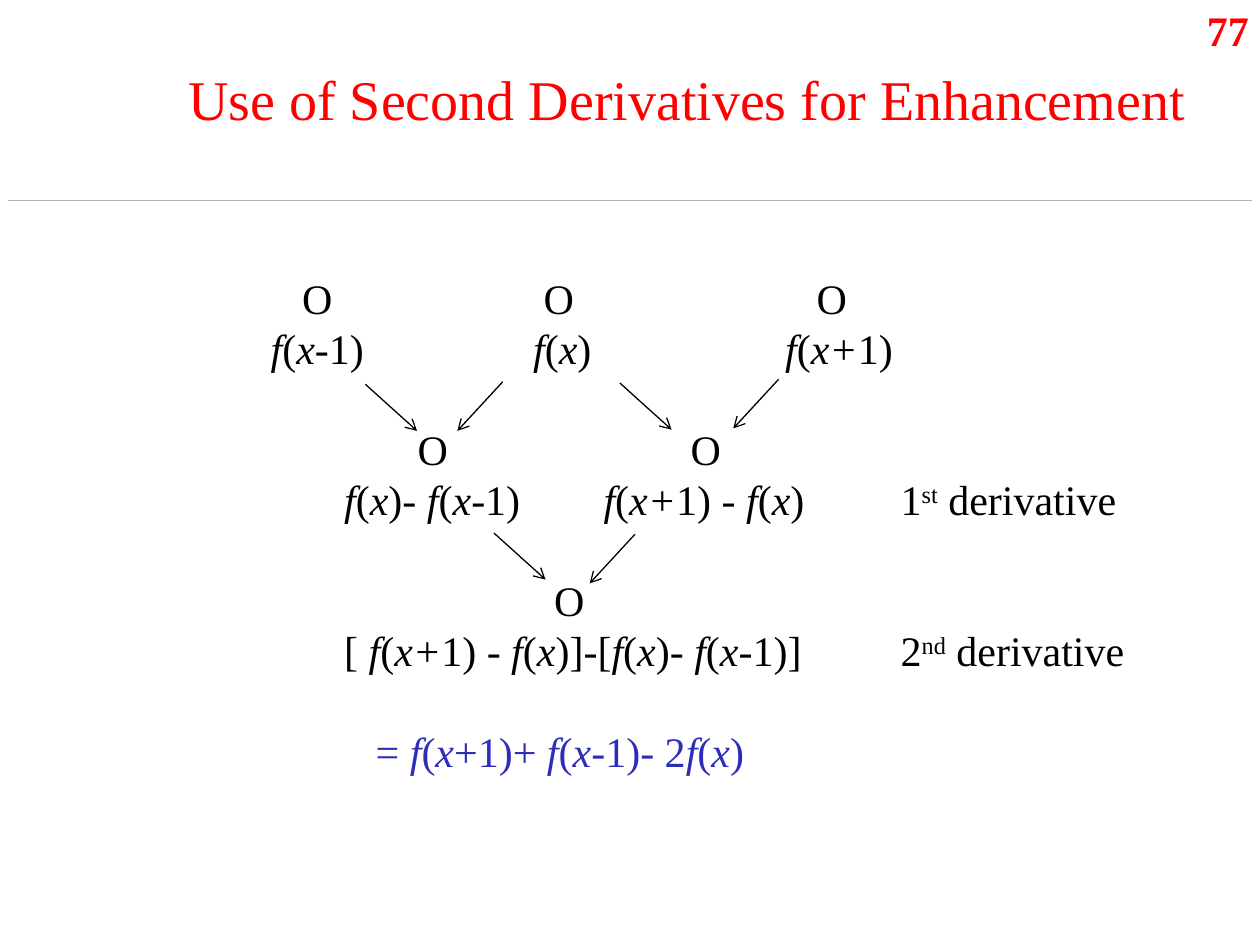
from lxml import etree
from pptx import Presentation
from pptx.dml.color import RGBColor
from pptx.enum.shapes import MSO_CONNECTOR
from pptx.enum.text import PP_ALIGN
from pptx.oxml.ns import qn
from pptx.util import Inches, Pt

STRAIGHT = MSO_CONNECTOR.STRAIGHT
LEFT, CENTER = PP_ALIGN.LEFT, PP_ALIGN.CENTER

RED = RGBColor(0xFF, 0x00, 0x00)
BLACK = RGBColor(0x00, 0x00, 0x00)
BLUE = RGBColor(0x2D, 0x2D, 0xB9)
GRAY = RGBColor(0xB2, 0xB2, 0xB2)

FONT = "Times New Roman"
BODY_SIZE = 24
LINE_FACTOR = 1.2
TAB_COLUMN = Inches(1 / 12)

NUMBER_BOX = (9.48, -0.01, 0.59, 0.5)
TITLE_BOX = (1.36, 0.46, 8.19, 0.64)
RULE_BOX = (0.06, 1.59, 9.88, 0)
DIAGRAM_BOX = (2.05, 2.11, 7.46, 4.14)

ROWS = [
    ([3, 26, 52], ["O", "O", "O"], 0, BLACK),
    ([0, 25, 49], ["*f*(*x*-1)", "*f*(*x*)", "*f*(*x+*1)"], 0, BLACK),
    ([14, 40], ["O", "O"], 1, BLACK),
    ([7, 31.7, 60],
     ["*f*(*x*)-* f*(*x*-1)", "*f*(*x+*1) -* f*(*x*)", "1^st^ derivative"], 0, BLACK),
    ([27], ["O"], 1, BLACK),
    ([7, 60],
     ["[* f*(*x+*1) -* f*(*x*)]-[*f*(*x*)-* f*(*x*-1)]", "2^nd^ derivative"], 0, BLACK),
    ([10], ["=* f*(*x*+1)+* f*(*x*-1)- 2*f*(*x*)"], 1, BLUE),
]

RIGHT_STEP, LEFT_STEP = (0.41, 0.37), (-0.36, 0.39)
ARROWS = [
    (0.85, 0.94, RIGHT_STEP),
    (2.87, 0.93, RIGHT_STEP),
    (1.87, 2.12, RIGHT_STEP),
    (4.13, 0.90, LEFT_STEP),
    (1.94, 0.92, LEFT_STEP),
    (2.99, 2.13, LEFT_STEP),
]


def add_box(slide, box, wrap):
    tf = slide.shapes.add_textbox(*map(Inches, box)).text_frame
    tf.word_wrap = wrap
    return tf


def style_run(r, size, color):
    r.font.name = FONT
    r.font.size = Pt(size)
    r.font.color.rgb = color


def add_line(slide, x1, y1, x2, y2, color, width):
    line = slide.shapes.add_connector(STRAIGHT, *map(Inches, (x1, y1, x2, y2)))
    line.line.color.rgb = color
    line.line.width = Pt(width)
    etree.SubElement(line._element.spPr, qn("a:effectLst"))
    return line


def add_label(slide, box, text, size, align):
    p = add_box(slide, box, False).paragraphs[0]
    p.text = text
    p.alignment = align
    p.line_spacing = Pt(size * LINE_FACTOR)
    style_run(p.runs[0], size, RED)
    return p.runs[0]


def add_title(slide, box):
    r = add_label(slide, box, "Use of Second Derivatives for Enhancement", 32, CENTER)
    effects = etree.Element(qn("a:effectLst"))
    shadow = etree.SubElement(effects, qn("a:outerShdw"), dist="35921", dir="2700000")
    etree.SubElement(shadow, qn("a:srgbClr"), val=str(GRAY))
    r.font._element.find(qn("a:solidFill")).addnext(effects)


def add_page_number(slide, box):
    add_label(slide, box, "77", 24, LEFT).font.bold = True


def add_rule(slide, box):
    x, y, w, h = box
    add_line(slide, x + w, y, x, y + h, GRAY, 0.25)


def set_tabs(p, columns):
    tabs = etree.SubElement(p._p.get_or_add_pPr(), qn("a:tabLst"))
    for column in columns:
        etree.SubElement(tabs, qn("a:tab"), pos=str(int(column * TAB_COLUMN)), algn="l")


def add_markup(p, text, color):
    for i, part in enumerate(text.split("*")):
        for j, piece in enumerate(part.split("^")):
            if piece:
                r = p.add_run()
                r.text = piece
                style_run(r, BODY_SIZE, color)
                r.font.italic = i % 2 == 1
                if j % 2:
                    r.font._element.set("baseline", "30000")


def add_formulas(slide, box):
    tf = add_box(slide, box, True)
    pitch = BODY_SIZE * LINE_FACTOR
    for i, (columns, cells, gap, color) in enumerate(ROWS):
        p = tf.add_paragraph() if i else tf.paragraphs[0]
        set_tabs(p, [c for c in columns if c])
        p.line_spacing = Pt(pitch)
        if gap:
            p.space_before = Pt(gap * pitch)
        lead = "\t" if columns[0] else ""
        add_markup(p, lead + "\t".join(cells), color)


def add_arrows(slide, box):
    left, top = box[:2]
    for x, y, (dx, dy) in ARROWS:
        x1, y1 = left + x, top + y
        arrow = add_line(slide, x1, y1, x1 + dx, y1 + dy, BLACK, 0.75)
        etree.SubElement(arrow.line._get_or_add_ln(), qn("a:tailEnd"), type="arrow")


def main():
    prs = Presentation()
    prs.slide_width, prs.slide_height = Inches(10), Inches(7.5)
    slide = prs.slides.add_slide(prs.slide_layouts[6])
    add_rule(slide, RULE_BOX)
    add_page_number(slide, NUMBER_BOX)
    add_title(slide, TITLE_BOX)
    add_formulas(slide, DIAGRAM_BOX)
    add_arrows(slide, DIAGRAM_BOX)
    prs.save("out.pptx")


if __name__ == "__main__":
    main()
